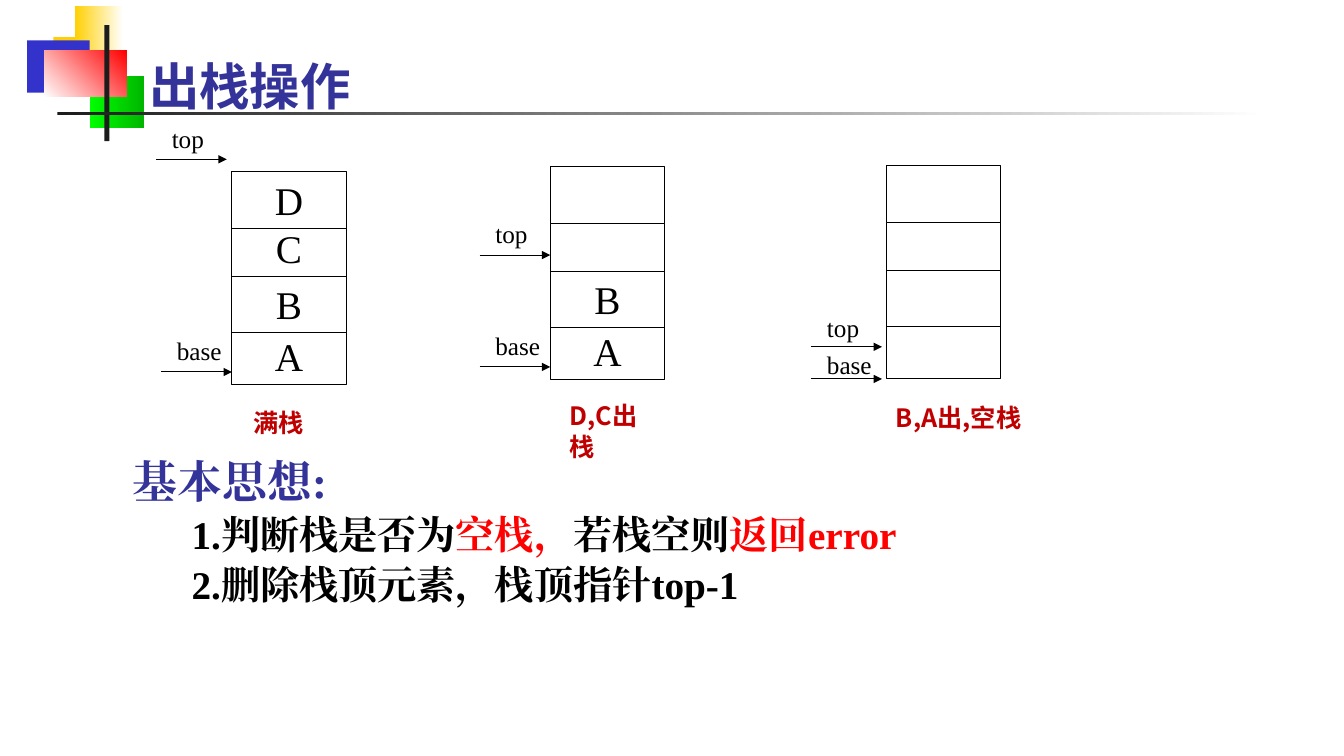
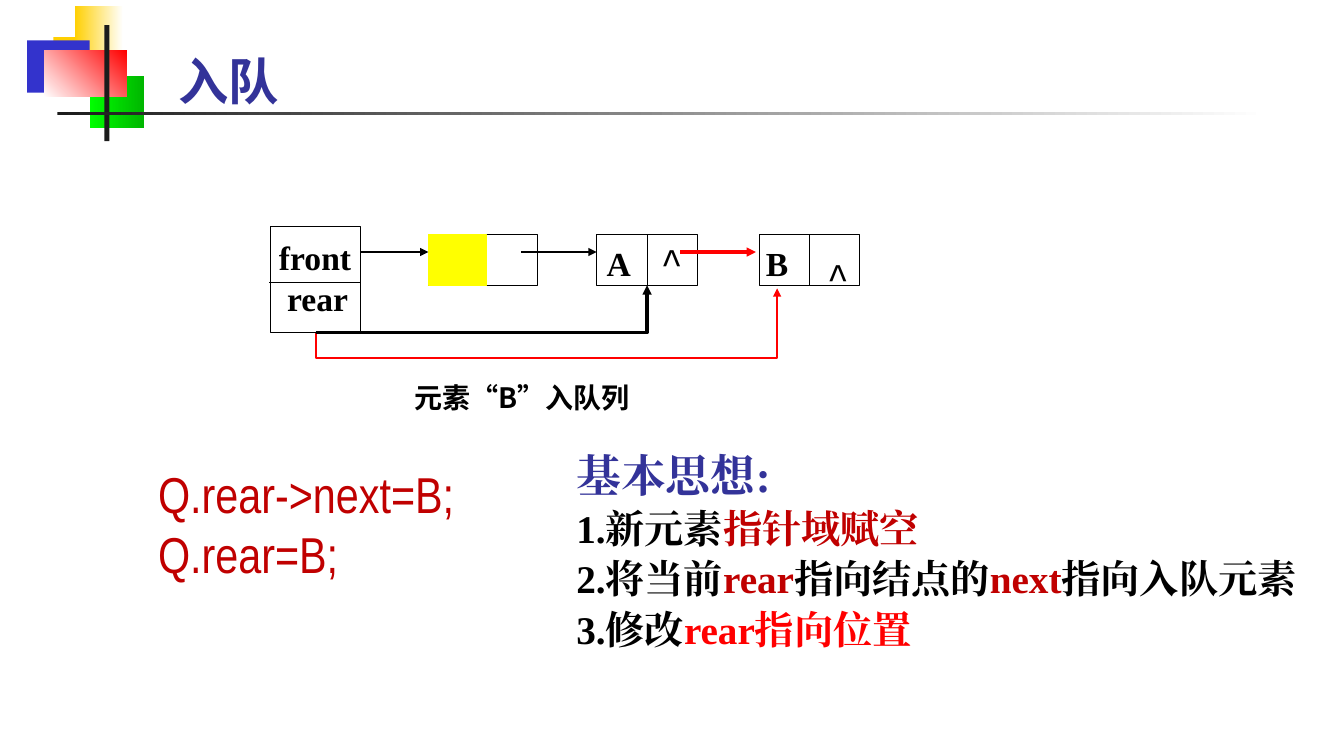
from dataclasses import dataclass

from lxml import etree
from pptx import Presentation
from pptx.dml.color import RGBColor
from pptx.enum import shapes, text
from pptx.oxml import ns
from pptx.util import Pt


@dataclass(frozen=True)
class Theme:
    ink: str = "000000"
    paper: str = "FFFFFF"
    heading: str = "333399"
    red: str = "FF0000"
    crimson: str = "C00000"
    yellow: str = "FFFF00"
    gold: str = "FFCF01"
    blue: str = "3333CC"
    lime: str = "00FF00"
    green: str = "00B600"
    bar: str = "1C1C1C"
    serif: str = "Times New Roman"
    narrow: str = "Arial Narrow"
    sans: str = "Noto Sans CJK SC"
    title: int = 36
    lead: int = 32
    body: int = 28
    node: int = 24
    note: int = 20
    label: int = 18
    hairline: float = 0.75


THEME = Theme()
CELL_WIDTH, CELL_HEIGHT = 81.6, 41
CELL_OFFSETS = (111.6, 74, 34, 0)
POINTER_LENGTH = 50.4
NODE_TOP, NODE_WIDTH, NODE_HEIGHT = 167.8, 72, 36
LINK_Y = 180


def apply(target, values):
    for name, value in values.items():
        setattr(target, name, value)


def rgb(value):
    return RGBColor.from_string(value)


def fill_text(frame, paragraphs, size, font, color=THEME.ink, bold=False, **layout):
    for index, pieces in enumerate(paragraphs):
        paragraph = frame.paragraphs[0] if index == 0 else frame.add_paragraph()
        apply(paragraph, layout)
        for words, tint in [(pieces, color)] if isinstance(pieces, str) else pieces:
            run = paragraph.add_run()
            run.text = words
            apply(run.font, {"size": Pt(size), "name": font, "bold": bold})
            run.font.color.rgb = rgb(tint)
            east_asian = etree.SubElement(run.font._element, ns.qn("a:ea"))
            east_asian.set("typeface", font)


def add_text(slide, left, top, width, height, paragraphs, size, font, wrap=True, **style):
    box = slide.shapes.add_textbox(Pt(left), Pt(top), Pt(width), Pt(height))
    box.text_frame.word_wrap = wrap
    fill_text(box.text_frame, paragraphs, size, font, **style)
    return box.text_frame


def add_rect(slide, left, top, width, height, fill=None, line=None):
    rect = slide.shapes.add_shape(shapes.MSO_SHAPE.RECTANGLE, Pt(left), Pt(top), Pt(width), Pt(height))
    rect.shadow.inherit = False
    if fill is None:
        rect.fill.background()
    elif isinstance(fill, str):
        rect.fill.solid()
        rect.fill.fore_color.rgb = rgb(fill)
    else:
        start, end, angle = fill
        rect.fill.gradient()
        rect.fill.gradient_angle = angle
        for stop, color in zip(rect.fill.gradient_stops, (start, end)):
            stop.color.rgb = rgb(color)
    if line:
        rect.line.color.rgb = rgb(line)
        rect.line.width = Pt(THEME.hairline)
    else:
        rect.line.fill.background()
    return rect


def style_line(line, color, width, arrow):
    line.line.color.rgb = rgb(color)
    line.line.width = Pt(width)
    properties = line._element.spPr
    if arrow:
        head = etree.SubElement(properties.find(ns.qn("a:ln")), ns.qn("a:tailEnd"))
        head.set("type", "triangle")
    etree.SubElement(properties, ns.qn("a:effectLst"))


def add_line(slide, x1, y1, x2, y2, color=THEME.ink, width=THEME.hairline, arrow=False):
    line = slide.shapes.add_connector(shapes.MSO_CONNECTOR.STRAIGHT, Pt(x1), Pt(y1), Pt(x2), Pt(y2))
    style_line(line, color, width, arrow)


def add_elbow_arrow(slide, points, color, width):
    start, *rest = [(Pt(x), Pt(y)) for x, y in points]
    builder = slide.shapes.build_freeform(*start)
    builder.add_line_segments(rest, close=False)
    elbow = builder.convert_to_shape()
    elbow.fill.background()
    style_line(elbow, color, width, True)


def add_page(deck, title, left, top):
    slide = deck.slides.add_slide(deck.slide_layouts[6])
    for *place, fill in (
        (38.2, 26.6, 46, 37.4, THEME.gold),
        (53.3, 4.3, 34.6, 37.4, (THEME.gold, THEME.paper, 0)),
        (19.4, 28.8, 44.6, 37.4, THEME.blue),
        (64, 54, 38.9, 37.4, (THEME.lime, THEME.green, 0)),
        (31.7, 36, 59, 33, (THEME.paper, THEME.red, 45)),
        (74.6, 18, 3.6, 82.8, THEME.bar),
        (41, 80, 864, 2.5, (THEME.bar, THEME.paper, 0)),
    ):
        add_rect(slide, *place, fill=fill)
    add_text(slide, left, top, 612, 42, [title], THEME.title, THEME.narrow,
             color=THEME.heading, bold=True)
    return slide


def add_idea(slide, left, top, width, height, steps, indent=0):
    heading = [("基本思想:", THEME.heading)]
    frame = add_text(slide, left, top, width, height, [heading], THEME.lead, THEME.serif,
                     bold=True, line_spacing=0.9)
    for step in steps:
        paragraph = frame.add_paragraph()
        paragraph._p.get_or_add_pPr().set("marL", str(Pt(indent)))
        apply(paragraph, {"line_spacing": 0.9, "space_before": Pt(5.6)})
        for words, color in step:
            run = paragraph.add_run()
            run.text = words
            apply(run.font, {"size": Pt(THEME.body), "name": THEME.serif, "bold": True})
            run.font.color.rgb = rgb(color)
            etree.SubElement(run.font._element, ns.qn("a:ea")).set("typeface", THEME.serif)


def add_caption(slide, left, top, width, words, size, color):
    add_text(slide, left, top, width, 29, [words], size, THEME.sans, color=color,
             bold=True, line_spacing=Pt(size * 1.22))


def add_stack(slide, left, top, letters):
    for offset, letter in zip(CELL_OFFSETS, letters):
        cell = add_rect(slide, left, top + offset, CELL_WIDTH, CELL_HEIGHT, THEME.paper, THEME.ink)
        if letter.strip():
            apply(cell.text_frame, {"vertical_anchor": text.MSO_ANCHOR.MIDDLE})
            fill_text(cell.text_frame, [letter], THEME.body, THEME.serif,
                      alignment=text.PP_ALIGN.CENTER)


def add_pointer(slide, label, left, y, rise=29.5):
    add_line(slide, left, y, left + POINTER_LENGTH, y, arrow=True)
    width = 46.8 if label == "base" else 37.4
    add_text(slide, left + 4, y - rise, width, 29, [label], THEME.label, THEME.serif, wrap=False)


def add_node(slide, left, letter, letter_left, caret_left, caret_top):
    add_rect(slide, left, NODE_TOP, NODE_WIDTH, NODE_HEIGHT, line=THEME.ink)
    middle = left + NODE_WIDTH / 2
    add_line(slide, middle, NODE_TOP, middle, NODE_TOP + NODE_HEIGHT)
    add_text(slide, letter_left, 170, 31, 36, [letter], THEME.node, THEME.serif, wrap=False, bold=True)
    add_text(slide, caret_left, caret_top, 32.4, 46, ["^"], THEME.lead, THEME.narrow)


def build_pop(deck):
    slide = add_page(deck, "出栈操作", 99.4, 36)
    for left, top, letters in (
        (165.6, 122.4, "ABCD"),
        (393.1, 118.8, "AB  "),
        (632.9, 118, "    "),
    ):
        add_stack(slide, left, top, letters)
    for pointer in (
        ("base", 115.2, 265.7), ("top", 111.6, 113.8),
        ("base", 342.7, 262.1), ("top", 342.7, 182.2),
        ("base", 579.6, 270.7, 24.5), ("top", 579.6, 247.7, 28),
    ):
        add_pointer(slide, *pointer)
    for left, top, width, words in (
        (174.2, 287, 60, "满栈"),
        (399.6, 282.2, 78.5, "D,C出栈"),
        (632.9, 283.7, 105, "B,A出,空栈"),
    ):
        add_caption(slide, left, top, width, words, THEME.label, THEME.crimson)
    add_idea(slide, 87.8, 324.7, 702, 116.6, [
        [("1.判断栈是否为", THEME.ink), ("空栈，", THEME.red),
         ("若栈空则", THEME.ink), ("返回error", THEME.red)],
        [("2.删除栈顶元素，栈顶指针top-1", THEME.ink)],
    ], indent=42)


def build_enqueue(deck):
    slide = add_page(deck, "入队", 120.2, 32)
    add_rect(slide, 193, 162, 64.4, 75.6, line=THEME.ink)
    add_line(slide, 192.5, 201.6, 257.4, 201.6)
    for left, top, width, word in ((192.2, 165.6, 66.2, "front"), (198, 195.1, 58.3, "rear")):
        add_text(slide, left, top, width, 36, [word], THEME.node, THEME.serif, wrap=False, bold=True)
    add_rect(slide, 306, NODE_TOP, 77.8, NODE_HEIGHT, line=THEME.ink)
    add_rect(slide, 306, NODE_TOP, 41.8, NODE_HEIGHT, THEME.yellow, THEME.yellow)
    add_node(slide, 426.2, "A", 426.2, 466.6, 165.6)
    add_node(slide, 542.2, "B", 540, 585.4, 176.4)
    for start, end, color, width in (
        (257.8, 306, THEME.ink, THEME.hairline),
        (372.2, 426.2, THEME.ink, THEME.hairline),
        (486, 540, THEME.red, 2.25),
    ):
        add_line(slide, start, LINK_Y, end, LINK_Y, color, width, arrow=True)
    rear = (225.4, 237.6)
    add_elbow_arrow(slide, [rear, (225.4, 255.6), (555.1, 255.6), (555.1, 206)], THEME.red, 1.5)
    add_elbow_arrow(slide, [rear, (462.2, 237.6), (462.2, 203.8)], THEME.ink, 2.25)
    add_caption(slide, 288.7, 267.8, 203.8, "元素“B”入队列", THEME.note, THEME.ink)
    add_text(slide, 105.8, 326.9, 290, 94.3, ["Q.rear->next=B;", "Q.rear=B;"],
             THEME.title, THEME.narrow, color=THEME.crimson)
    add_idea(slide, 404.6, 320.4, 534.2, 154, [
        [("1.新元素", THEME.ink), ("指针域赋空", THEME.crimson)],
        [("2.将当前", THEME.ink), ("rear", THEME.crimson), ("指向结点的", THEME.ink),
         ("next", THEME.crimson), ("指向入队元素", THEME.ink)],
        [("3.修改", THEME.ink), ("rear指向位置", THEME.red)],
    ])


def main():
    deck = Presentation()
    apply(deck, {"slide_width": Pt(960), "slide_height": Pt(540)})
    build_pop(deck)
    build_enqueue(deck)
    deck.save("out.pptx")


if __name__ == "__main__":
    main()
